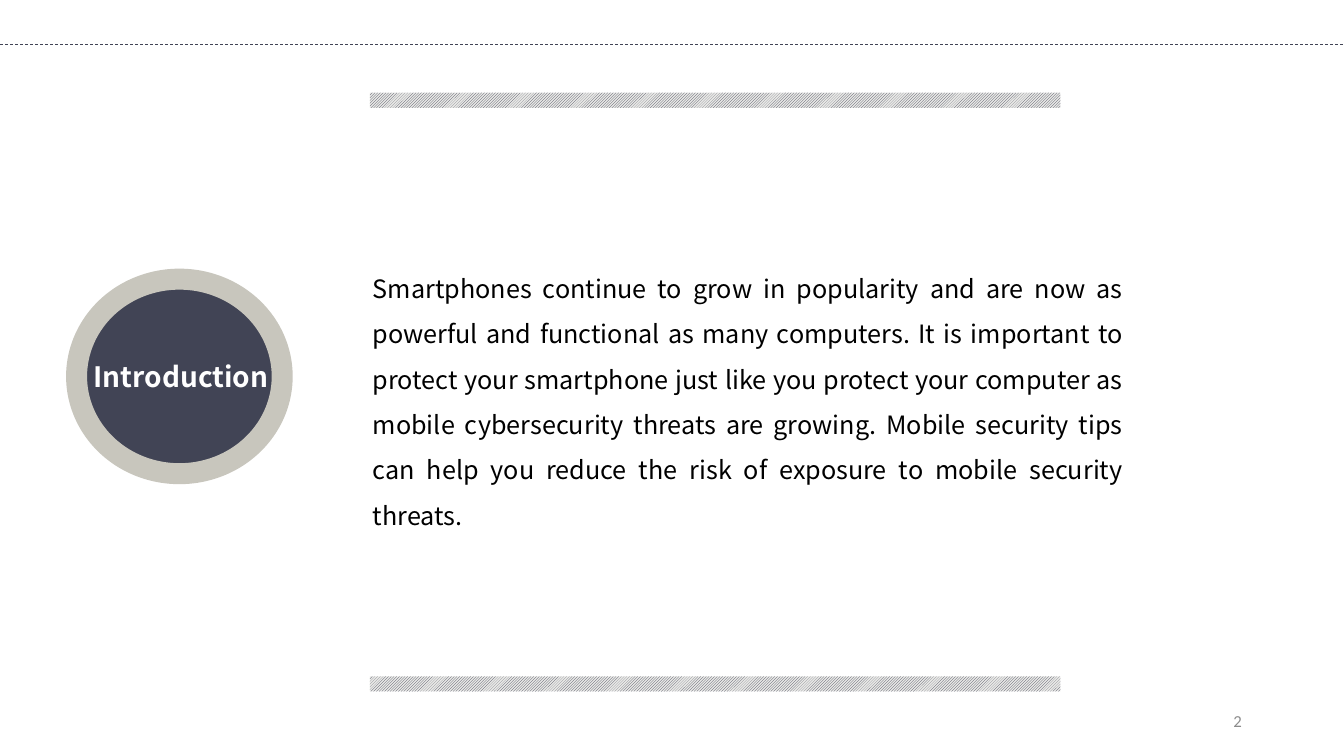
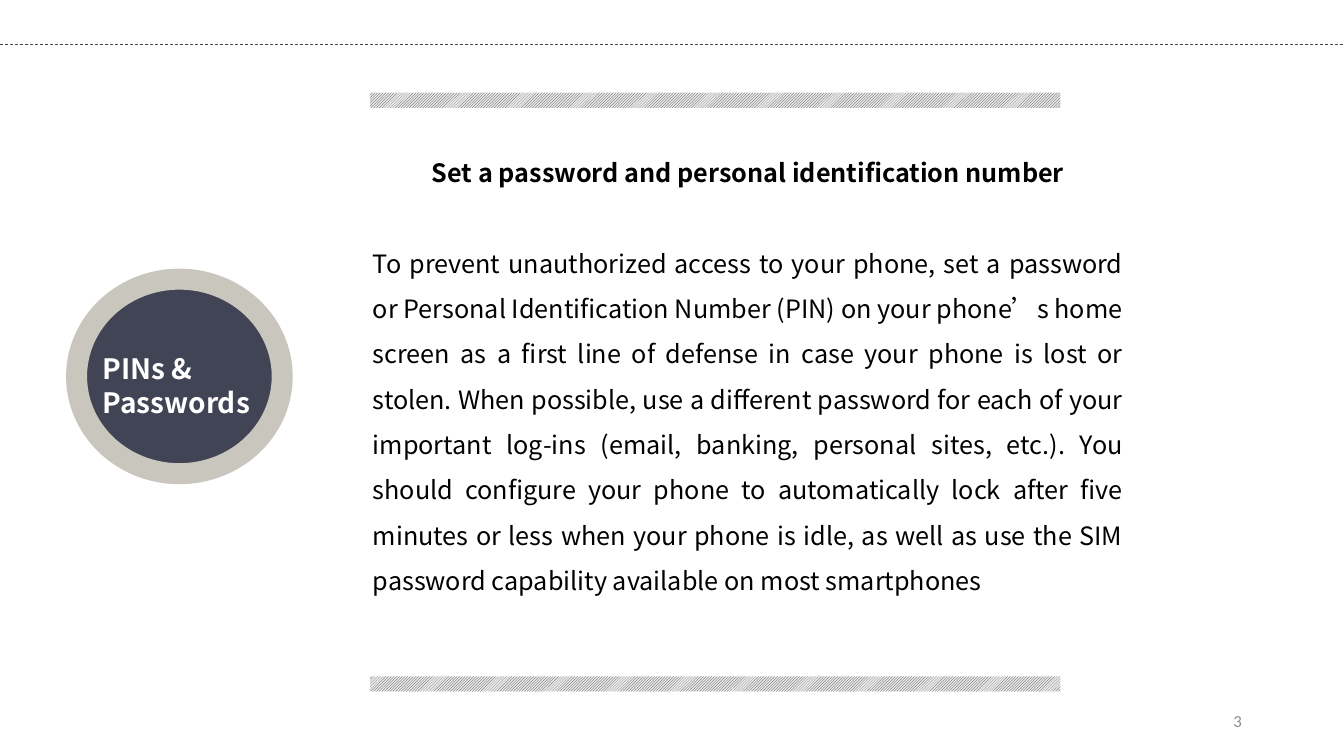
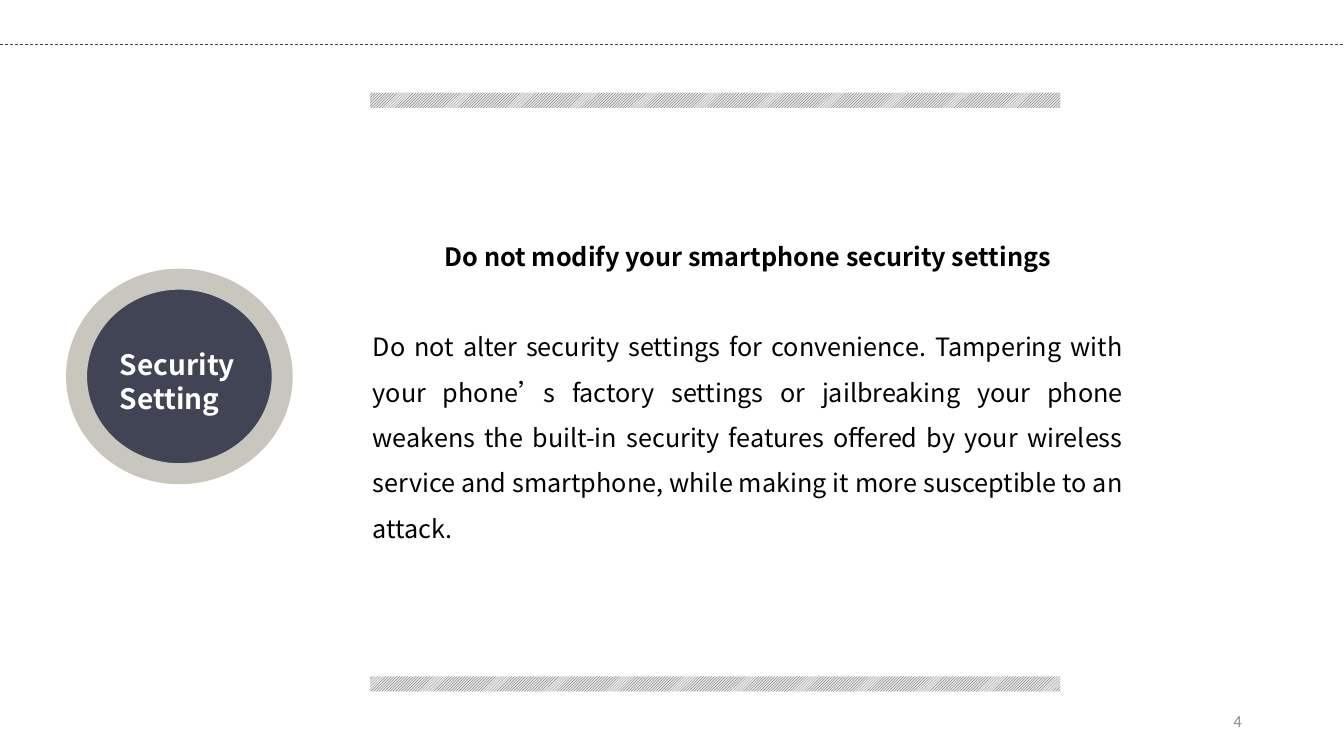
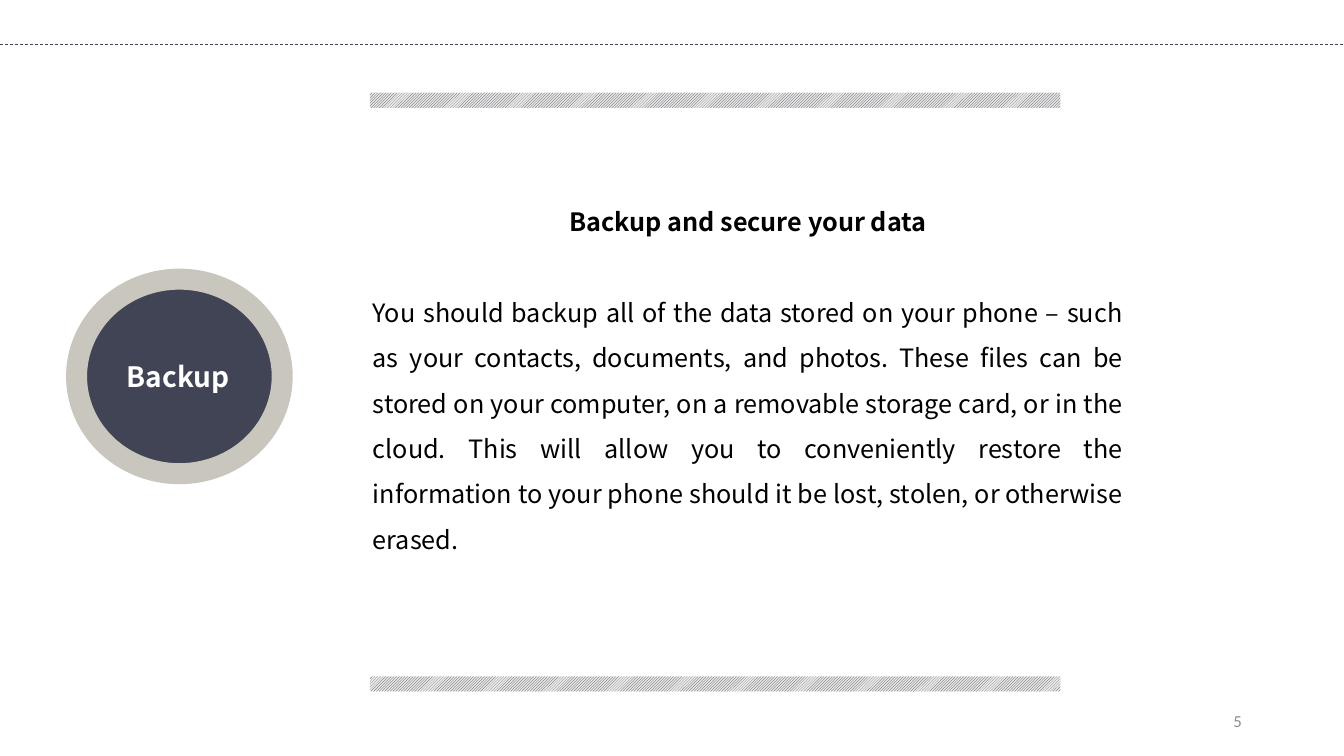
from dataclasses import dataclass

from lxml.etree import SubElement
from pptx import Presentation
from pptx.dml.color import RGBColor
from pptx.enum.dml import MSO_LINE_DASH_STYLE as Dash, MSO_PATTERN_TYPE as Pattern
from pptx.enum.shapes import MSO_CONNECTOR_TYPE as Connector, MSO_SHAPE as Preset
from pptx.enum.text import MSO_ANCHOR as Anchor, MSO_AUTO_SIZE as AutoSize, PP_ALIGN as Align
from pptx.oxml.ns import qn
from pptx.shapes.group import GroupShape
from pptx.slide import Slide
from pptx.text.text import TextFrame
from pptx.util import Inches, Length, Pt

WIDTH, HEIGHT = Inches(13.33), Inches(7.5)
COLORS = {
    "navy": "414455",
    "stone": "C8C6BD",
    "mist": "E8E8E6",
    "black": "000000",
    "white": "FFFFFF",
    "gray": "8C8C8C",
}
TEXT_FONT, NUMBER_FONT = "Noto Sans CJK SC", "Calibri"
BAR_TOPS = (12.27, 89.47)
BLANK_LINE = 32.4


@dataclass(frozen=True)
class Area:
    """A rectangle in percent of the slide's width and height."""

    left: float
    top: float
    width: float
    height: float

    def lengths(self) -> tuple[Length, Length, Length, Length]:
        """Return left, top, width and height as slide lengths."""
        return across(self.left), down(self.top), across(self.width), down(self.height)


@dataclass(frozen=True)
class Topic:
    """The content of one slide."""

    label: str
    label_area: Area
    body: str
    body_area: Area
    heading: str = ""


BADGE = Area(5.7, 36.93, 15.3, 25.73)
NUMBER = Area(70.65, 92.67, 22.5, 5.33)

TOPICS = (
    Topic(
        "Introduction",
        Area(6.23, 46.93, 14.93, 5.87),
        "Smartphones continue to grow in popularity and are now as powerful and "
        "functional as many computers. It is important to protect your smartphone "
        "just like you protect your computer as mobile cybersecurity threats are "
        "growing. Mobile security tips can help you reduce the risk of exposure to "
        "mobile security threats.",
        Area(27, 33.47, 57.3, 36.93),
    ),
    Topic(
        "PINs & Passwords",
        Area(6.9, 45.87, 14.93, 10.27),
        "To prevent unauthorized access to your phone, set a password or Personal "
        "Identification Number (PIN) on your phone’s home screen as a first line of "
        "defense in case your phone is lost or stolen. When possible, use a different "
        "password for each of your important log-ins (email, banking, personal sites, "
        "etc.). You should configure your phone to automatically lock after five "
        "minutes or less when your phone is idle, as well as use the SIM password "
        "capability available on most smartphones",
        Area(27, 18.13, 57.3, 67.33),
        "Set a password and personal identification number",
    ),
    Topic(
        "Security Setting",
        Area(8.18, 45.33, 14.93, 10.27),
        "Do not alter security settings for convenience. Tampering with your phone’s "
        "factory settings or jailbreaking your phone weakens the built-in security "
        "features offered by your wireless service and smartphone, while making it "
        "more susceptible to an attack.",
        Area(27, 29.2, 57.3, 43.07),
        "Do not modify your smartphone security settings",
    ),
    Topic(
        "Backup",
        Area(8.7, 46.93, 14.93, 5.87),
        "You should backup all of the data stored on your phone – such as your "
        "contacts, documents, and photos. These files can be stored on your computer, "
        "on a removable storage card, or in the cloud. This will allow you to "
        "conveniently restore the information to your phone should it be lost, "
        "stolen, or otherwise erased.",
        Area(27, 24.67, 57.3, 49.07),
        "Backup and secure your data",
    ),
)


def across(percent: float) -> Length:
    """Return a share of the slide's width."""
    return Length(round(WIDTH * percent / 100))


def down(percent: float) -> Length:
    """Return a share of the slide's height."""
    return Length(round(HEIGHT * percent / 100))


def color(name: str) -> RGBColor:
    """Look up a colour by name."""
    return RGBColor.from_string(COLORS[name])


def add_box(parent: Slide | GroupShape, area: Area, *, grow: bool = True) -> TextFrame:
    """Add a wrapping text box and return its frame."""
    frame = parent.shapes.add_textbox(*area.lengths()).text_frame
    frame.word_wrap = True
    if grow:
        frame.auto_size = AutoSize.SHAPE_TO_FIT_TEXT
    return frame


def write(frame: TextFrame, text: str, *, size: float = 18, ink: str = "black",
          bold: bool = False, align: Align = Align.LEFT, spacing: float = 1.0,
          before: float = 0, font: str = TEXT_FONT) -> None:
    """Write one paragraph, using the empty first one if there is one."""
    para = frame.add_paragraph() if frame.text else frame.paragraphs[0]
    para.alignment = align
    para.line_spacing = spacing
    if before:
        para.space_before = Pt(before)
    span = para.add_run()
    span.text = text
    span.font.size = Pt(size)
    span.font.bold = bold
    span.font.color.rgb = color(ink)
    span.font.name = font
    SubElement(span.font._element, qn("a:ea"), typeface=font)


def add_frame(page: Slide) -> None:
    """Draw the hatched bars and the dashed rule."""
    for top in BAR_TOPS:
        bar = page.shapes.add_shape(Preset.RECTANGLE, *Area(27.52, top, 51.38, 2).lengths())
        bar.shadow.inherit = False
        bar.fill.patterned()
        bar.fill.pattern = Pattern.LIGHT_UPWARD_DIAGONAL
        bar.fill.fore_color.rgb = color("navy")
        bar.fill.back_color.rgb = color("mist")
        bar.line.fill.background()
    rule = page.shapes.add_connector(Connector.STRAIGHT, 0, down(5.87), WIDTH, down(5.87))
    rule.line.color.rgb = color("navy")
    rule.line.width = Pt(0.5)
    rule.line.dash_style = Dash.DASH
    SubElement(rule._element.spPr, qn("a:effectLst"))


def add_badge(page: Slide, topic: Topic) -> None:
    """Draw the ringed ellipse with the topic's label."""
    group = page.shapes.add_group_shape()
    badge = group.shapes.add_shape(Preset.OVAL, *BADGE.lengths())
    badge.shadow.inherit = False
    badge.fill.solid()
    badge.fill.fore_color.rgb = color("navy")
    badge.line.color.rgb = color("stone")
    badge.line.width = Pt(15)
    write(add_box(group, topic.label_area), topic.label, size=20, ink="white", bold=True)


def add_body(page: Slide, topic: Topic) -> None:
    """Write the optional heading and the justified text."""
    frame = add_box(page, topic.body_area)
    if topic.heading:
        write(frame, topic.heading, bold=True, align=Align.CENTER, spacing=1.5)
    write(frame, topic.body, align=Align.JUSTIFY, spacing=1.5,
          before=BLANK_LINE if topic.heading else 0)


def add_number(page: Slide, number: int) -> None:
    """Write the page number."""
    frame = add_box(page, NUMBER, grow=False)
    frame.vertical_anchor = Anchor.MIDDLE
    write(frame, str(number), size=12, ink="gray", align=Align.RIGHT, font=NUMBER_FONT)


def main() -> None:
    """Build and save the deck."""
    deck = Presentation()
    deck.slide_width, deck.slide_height = WIDTH, HEIGHT
    for number, topic in enumerate(TOPICS, start=2):
        page = deck.slides.add_slide(deck.slide_layouts[6])
        add_frame(page)
        add_body(page, topic)
        add_badge(page, topic)
        add_number(page, number)
    deck.save("out.pptx")


if __name__ == "__main__":
    main()
